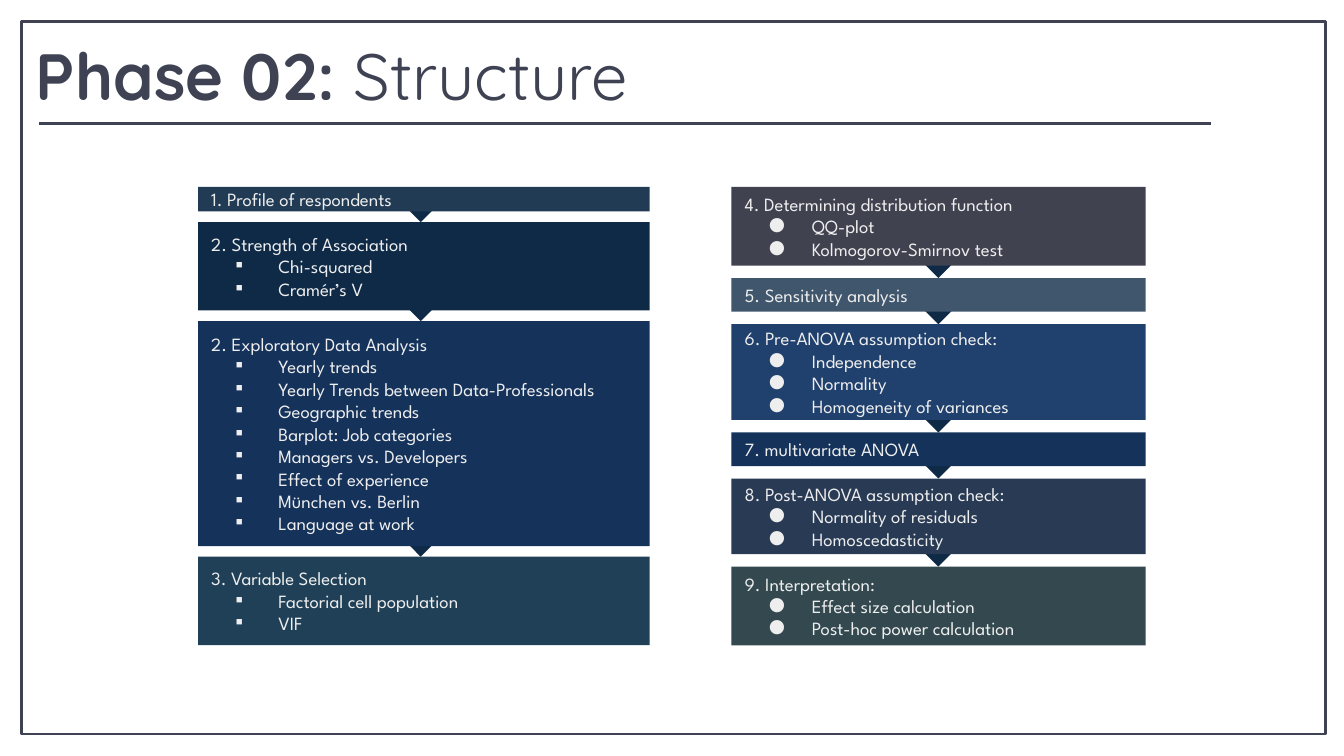
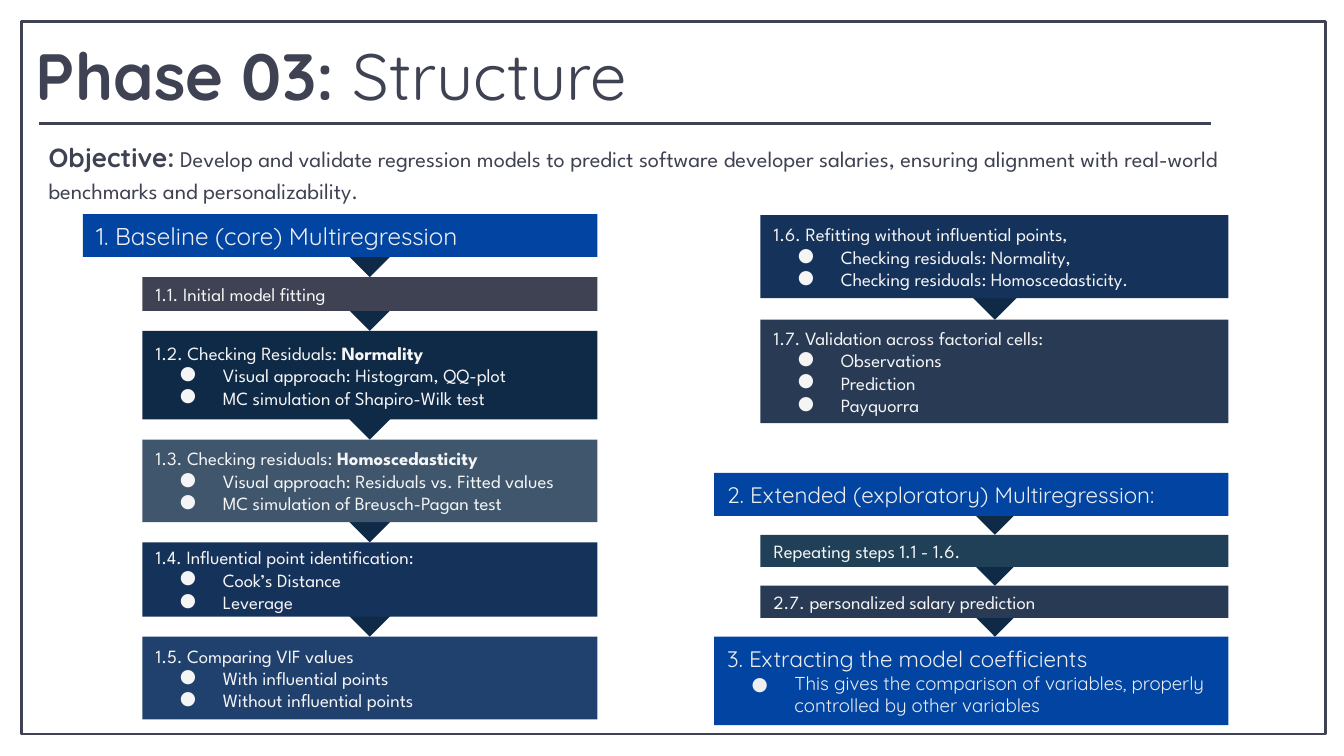
from dataclasses import dataclass
from typing import Optional

from lxml.etree import SubElement
from pptx import Presentation
from pptx.dml.color import RGBColor
from pptx.enum.shapes import MSO_CONNECTOR, MSO_SHAPE
from pptx.enum.text import MSO_ANCHOR, MSO_AUTO_SIZE, PP_ALIGN
from pptx.oxml.ns import qn
from pptx.util import Pt

COLORS = {
    "ink": "3F4252",
    "arrow": "0E2A47",
    "midnight": "0E2A47",
    "heading": "0144A2",
    "navy": "15325B",
    "royal": "20406D",
    "steel": "40566D",
    "dusk": "283A54",
    "harbor": "213B55",
    "teal": "1F4057",
    "charcoal": "414250",
    "pine": "33494F",
    "mist": "EEEEEE",
    "snow": "F5F5F5",
}
TITLE_FONT = "Quicksand"
BODY_FONT = "League Spartan"
INSET = 7.2
HEADING_WIDTH = 275.6


@dataclass(frozen=True)
class Span:
    text: str
    size: float = 10
    font: str = BODY_FONT
    color: str = "mist"
    bold: bool = False


@dataclass(frozen=True)
class Step:
    text: str
    fill: str
    height: float
    items: tuple[str, ...] = ()
    emphasis: str = ""
    heading_size: Optional[float] = None
    arrow_width: Optional[float] = None


@dataclass(frozen=True)
class Flow:
    """A column of steps, stacked with equal gaps and joined by arrows."""
    left: float
    right: float
    top: float
    gap: float
    arrow_center: float
    arrow_width: float
    bullet: str
    text_color: str
    steps: tuple[Step, ...]


PHASE_02 = (
    Flow(106.1, 348, 100.1, 5.7, 225.4, 13.7, "▪", "mist", (
        Step("1. Profile of respondents", "harbor", 13.2),
        Step("2. Strength of Association", "midnight", 47.4,
             ("Chi-squared", "Cramér’s V")),
        Step("2. Exploratory Data Analysis", "navy", 120.5,
             ("Yearly trends", "Yearly Trends between Data-Professionals",
              "Geographic trends", "Barplot: Job categories",
              "Managers vs. Developers", "Effect of experience",
              "München vs. Berlin", "Language at work")),
        Step("3. Variable Selection", "teal", 47.4,
             ("Factorial cell population", "VIF")),
    )),
    Flow(391.9, 613.8, 100.1, 6.7, 502.7, 15.8, "●", "mist", (
        Step("4. Determining distribution function", "charcoal", 42.2,
             ("QQ-plot", "Kolmogorov-Smirnov test")),
        Step("5. Sensitivity analysis", "steel", 18),
        Step("6. Pre-ANOVA assumption check:", "royal", 51.3,
             ("Independence", "Normality", "Homogeneity of variances")),
        Step("7. multivariate ANOVA", "navy", 18),
        Step("8. Post-ANOVA assumption check:", "dusk", 40.5,
             ("Normality of residuals", "Homoscedasticity")),
        Step("9. Interpretation:", "pine", 42.2,
             ("Effect size calculation", "Post-hoc power calculation")),
    )),
)

PHASE_03 = (
    Flow(76.3, 320, 114.7, 10.8, 198.1, 22.3, "●", "snow", (
        Step("1. Baseline (core) Multiregression", "heading", 23, heading_size=13),
        Step("1.1. Initial model fitting", "ink", 18, arrow_width=25.2),
        Step("1.2. Checking Residuals: ", "midnight", 47.4,
             ("Visual approach: Histogram, QQ-plot",
              "MC simulation of Shapiro-Wilk test"), emphasis="Normality"),
        Step("1.3. Checking residuals: ", "steel", 44.3,
             ("Visual approach: Residuals vs. Fitted values",
              "MC simulation of Breusch-Pagan test"), emphasis="Homoscedasticity"),
        Step("1.4. Influential point identification:", "navy", 39.7,
             ("Cook’s Distance", "Leverage")),
        Step("1.5. Comparing VIF values", "royal", 44.3,
             ("With influential points", "Without influential points")),
    )),
    Flow(407.4, 658.1, 115.2, 11.5, 533, 26.6, "●", "snow", (
        Step("1.6. Refitting without influential points,", "navy", 44.6,
             ("Checking residuals: Normality,",
              "Checking residuals: Homoscedasticity.")),
        Step("1.7. Validation across factorial cells:", "dusk", 55.4,
             ("Observations", "Prediction", "Payquorra")),
    )),
    Flow(407.4, 658.1, 253.4, 10.1, 533, 22.3, "●", "snow", (
        Step("2. Extended (exploratory) Multiregression:", "heading", 23,
             heading_size=12),
        Step("Repeating steps 1.1 - 1.6.", "teal", 17.2),
        Step("2.7. personalized salary prediction", "dusk", 17.2),
        Step("3. Extracting the model coefficients", "heading", 47.4,
             ("This gives the comparison of variables, properly "
              "controlled by other variables",), heading_size=12),
    )),
)

OBJECTIVE = (
    Span("Objective:", 14, TITLE_FONT, "ink", True),
    Span(" ", 11, BODY_FONT, "ink", True),
    Span("Develop and validate regression models to predict software developer "
         "salaries, ensuring alignment with real-world benchmarks and "
         "personalizability.", 12, BODY_FONT, "ink"),
)


def rgb(name: str) -> RGBColor:
    return RGBColor.from_string(COLORS[name])


def prepare_frame(frame, anchor=MSO_ANCHOR.TOP) -> None:
    """Set wrapping, anchor and equal insets on a text frame."""
    frame.word_wrap = True
    frame.vertical_anchor = anchor
    frame.margin_left = frame.margin_right = Pt(INSET)
    frame.margin_top = frame.margin_bottom = Pt(INSET)


def write(paragraph, *spans: Span) -> None:
    paragraph.alignment = PP_ALIGN.LEFT
    for span in spans:
        run = paragraph.add_run()
        run.text = span.text
        run.font.size = Pt(span.size)
        run.font.name = span.font
        run.font.bold = span.bold
        run.font.color.rgb = rgb(span.color)


def set_bullet(paragraph, mark: str, color: str, font: str) -> None:
    properties = paragraph._p.get_or_add_pPr()
    properties.set("marL", str(Pt(36)))
    properties.set("indent", str(-Pt(23)))
    bullet_color = SubElement(properties, qn("a:buClr"))
    SubElement(bullet_color, qn("a:srgbClr")).set("val", COLORS[color])
    SubElement(properties, qn("a:buFont")).set("typeface", font)
    SubElement(properties, qn("a:buChar")).set("char", mark)


def add_block(slide, kind, left: float, top: float, width: float,
              height: float, fill: str):
    block = slide.shapes.add_shape(kind, Pt(left), Pt(top), Pt(width), Pt(height))
    block.shadow.inherit = False
    block.fill.solid()
    block.fill.fore_color.rgb = rgb(fill)
    block.line.fill.background()
    return block


def add_step(slide, flow: Flow, step: Step, top: float) -> None:
    is_heading = step.heading_size is not None
    left = flow.right - HEADING_WIDTH if is_heading else flow.left
    font = TITLE_FONT if is_heading else BODY_FONT
    color = "mist" if is_heading else flow.text_color
    block = add_block(slide, MSO_SHAPE.RECTANGLE, left, top,
                      flow.right - left, step.height, step.fill)
    frame = block.text_frame
    prepare_frame(frame, MSO_ANCHOR.MIDDLE)
    spans = [Span(step.text, step.heading_size or 10, font, color)]
    if step.emphasis:
        spans.append(Span(step.emphasis, 10, font, color, True))
    write(frame.paragraphs[0], *spans)
    for item in step.items:
        paragraph = frame.add_paragraph()
        write(paragraph, Span(item, 10, font, color))
        set_bullet(paragraph, flow.bullet, color, font)


def add_flow(slide, flow: Flow) -> None:
    """Draw the arrows first, so that the steps cover their shafts."""
    tops = [flow.top]
    for step in flow.steps[:-1]:
        tops.append(tops[-1] + step.height + flow.gap)
    for step, top in zip(flow.steps[1:], tops[1:]):
        width = step.arrow_width or flow.arrow_width
        height = width + 0.7
        add_block(slide, MSO_SHAPE.DOWN_ARROW, flow.arrow_center - width / 2,
                  top - height, width, height, "arrow")
    for step, top in zip(flow.steps, tops):
        add_step(slide, flow, step, top)


def add_title(slide, phase: str) -> None:
    title = slide.shapes.title
    title.left, title.top, title.width, title.height = (
        Pt(12), Pt(11.5), Pt(684), Pt(47.5))
    prepare_frame(title.text_frame)
    title.text_frame.auto_size = MSO_AUTO_SIZE.NONE
    write(title.text_frame.paragraphs[0],
          Span(f"{phase}: ", 35, TITLE_FONT, "ink", True),
          Span("Structure", 35, TITLE_FONT, "ink"))
    rule = slide.shapes.add_connector(MSO_CONNECTOR.STRAIGHT, Pt(20.9), Pt(66.2),
                                      Pt(648.7), Pt(66.2))
    rule.line.color.rgb = rgb("ink")
    rule.line.width = Pt(1.5)
    SubElement(rule._element.spPr, qn("a:effectLst"))


def add_objective(slide) -> None:
    box = slide.shapes.add_textbox(Pt(19), Pt(66.2), Pt(681.8), Pt(48.2))
    prepare_frame(box.text_frame)
    box.text_frame.auto_size = MSO_AUTO_SIZE.SHAPE_TO_FIT_TEXT
    paragraph = box.text_frame.paragraphs[0]
    paragraph.line_spacing = 1.15
    paragraph.space_before = paragraph.space_after = Pt(12)
    write(paragraph, *OBJECTIVE)


def add_border(slide, layout) -> None:
    """Draw the page border and move it into the layout, for all slides."""
    for placeholder in list(layout.placeholders):
        if placeholder.placeholder_format.idx != 0:
            layout.shapes.element.remove(placeholder.element)
    border = add_block(slide, MSO_SHAPE.RECTANGLE, 11.5, 11.5, 698.6, 381.8, "ink")
    border.fill.background()
    border.line.color.rgb = rgb("ink")
    border.line.width = Pt(1.5)
    layout.shapes.element.append(border.element)


def main() -> None:
    deck = Presentation()
    deck.slide_width, deck.slide_height = Pt(720), Pt(405)
    layout = deck.slide_layouts[5]

    structure_02 = deck.slides.add_slide(layout)
    add_border(structure_02, layout)
    structure_03 = deck.slides.add_slide(layout)

    add_title(structure_02, "Phase 02")
    add_title(structure_03, "Phase 03")
    add_objective(structure_03)
    for slide, flows in ((structure_02, PHASE_02), (structure_03, PHASE_03)):
        for flow in flows:
            add_flow(slide, flow)
    deck.save("out.pptx")


if __name__ == "__main__":
    main()
